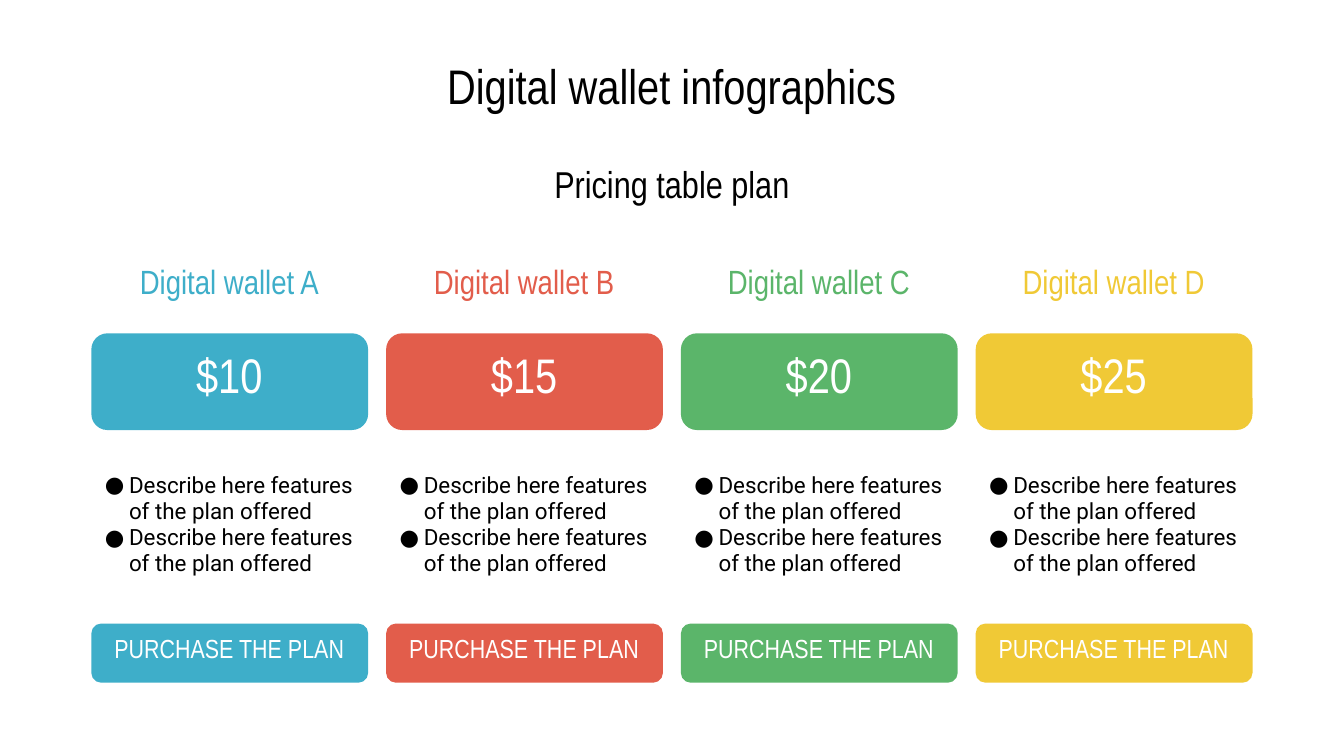
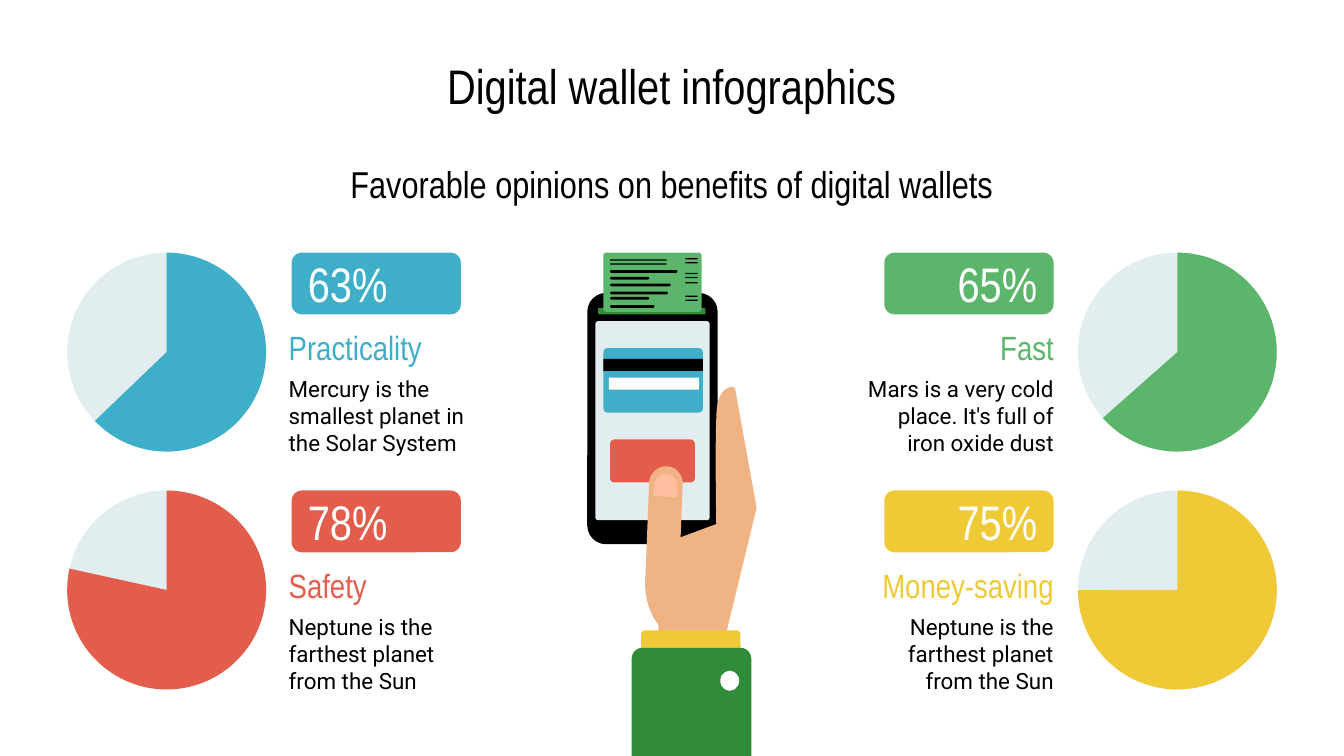
from dataclasses import dataclass
from typing import Any, NamedTuple

from lxml.etree import SubElement
from pptx import Presentation
from pptx.dml.color import RGBColor
from pptx.enum.shapes import MSO_SHAPE as Preset
from pptx.enum.text import MSO_ANCHOR as Anchor, MSO_AUTO_SIZE as AutoSize, PP_ALIGN as Align
from pptx.oxml.ns import qn
from pptx.util import Inches, Pt

COLORS = {
    "blue": "3EAEC9", "red": "E25D4B", "green": "5BB56A", "yellow": "F0C936",
    "black": "000000", "white": "FFFFFF", "pale": "E2EDF0", "forest": "318C3A",
    "skin": "F0B384", "nail": "FFBE9D",
}
DISPLAY, TEXT = "Arial Narrow", "Roboto"
CORNER = 0.167
SLIDE_WIDTH = 10
SLIDE_HEIGHT = SLIDE_WIDTH * 9 / 16
FRAME = {
    "margin_left": Inches(0.1), "margin_right": Inches(0.1),
    "margin_top": Inches(0.1), "margin_bottom": Inches(0.1),
    "vertical_anchor": Anchor.MIDDLE, "word_wrap": True, "auto_size": AutoSize.NONE,
}


class Box(NamedTuple):
    left: float
    top: float
    width: float
    height: float

    def inches(self) -> list[int]:
        return [Inches(length) for length in self]


class Style(NamedTuple):
    size: float
    font: str
    color: str
    align: Any = Align.LEFT


class Part(NamedTuple):
    box: Box
    color: str
    radius: float = 0


@dataclass
class Plan:
    name: str
    price: str
    color: str


@dataclass
class Side:
    pie_left: float
    badge_left: float
    text_left: float
    align: Any


@dataclass
class Benefit:
    name: str
    share: str
    pie_end: float  # degrees clockwise from three o'clock
    detail: str
    color: str
    side: Side
    top: float


PLANS = [
    Plan("Digital wallet A", "$10", "blue"),
    Plan("Digital wallet B", "$15", "red"),
    Plan("Digital wallet C", "$20", "green"),
    Plan("Digital wallet D", "$25", "yellow"),
]
FIRST_PLAN_LEFT, LAST_PLAN_LEFT = 0.68, 7.26
PLAN_PITCH = (LAST_PLAN_LEFT - FIRST_PLAN_LEFT) / (len(PLANS) - 1)
FEATURE = "Describe here features of the plan offered"

LEFT = Side(0.5, 2.17, 2.05, Align.LEFT)
RIGHT = Side(8.02, 6.58, 6.28, Align.RIGHT)
UPPER, LOWER = 1.88, 3.65
BENEFITS = [
    Benefit("Practicality", "63%", 136.2, "Mercury is the smallest planet in the Solar System",
            "blue", LEFT, UPPER),
    Benefit("Safety", "78%", 192.4, "Neptune is the farthest planet from the Sun",
            "red", LEFT, LOWER),
    Benefit("Fast", "65%", 138.5, "Mars is a very cold place. It's full of iron oxide dust",
            "green", RIGHT, UPPER),
    Benefit("Money-saving", "75%", 180, "Neptune is the farthest planet from the Sun",
            "yellow", RIGHT, LOWER),
]

PHONE = [
    Part(Box(4.37, 2.18, 0.97, 1.87), "black", 0.14),
    Part(Box(4.43, 2.39, 0.85, 1.48), "pale", 0.02),
    Part(Box(4.54, 3.27, 0.63, 0.32), "red", 0.03),
    Part(Box(4.49, 2.59, 0.74, 0.48), "blue", 0.03),
    Part(Box(4.49, 2.67, 0.74, 0.09), "black"),
    Part(Box(4.53, 2.81, 0.67, 0.09), "white"),
    Part(Box(4.45, 2.29, 0.8, 0.05), "forest"),
    Part(Box(4.49, 1.88, 0.73, 0.44), "green", 0.02),
]
RECEIPT_HEADING_TOPS = [1.93, 1.96]
RECEIPT_ITEMS = [(2.01, 0.5), (2.06, 0.29), (2.11, 0.45), (2.17, 0.43), (2.21, 0.29), (2.27, 0.33)]
RECEIPT_PRICE_TOPS = [1.92, 1.95, 2.03, 2.06, 2.1, 2.2, 2.23]
RECEIPT = (
    [Part(Box(4.54, top, 0.42, 0.01), "black") for top in RECEIPT_HEADING_TOPS]
    + [Part(Box(4.54, top, width, 0.02), "black", 0.01) for top, width in RECEIPT_ITEMS]
    + [Part(Box(5.1, top, 0.09, 0.01), "black") for top in RECEIPT_PRICE_TOPS]
)

# Outlines: pairs are corners, six numbers are a cubic curve.
HAND = [
    ("skin", [(5.45, 2.88), (5.42, 2.88, 5.33, 2.9, 5.33, 3.11),
              (5.32, 3.36, 5.33, 3.9, 5.33, 3.9), (4.98, 4.03), (4.8, 4.3), (4.8, 4.33),
              (4.8, 4.45, 4.83, 4.56, 4.9, 4.65), (4.9, 4.84), (5.38, 4.81), (5.63, 3.78),
              (5.47, 2.89), (5.47, 2.89, 5.46, 2.88, 5.45, 2.88)]),
    ("skin", [(4.95, 3.47), (4.89, 3.47, 4.83, 3.53, 4.83, 3.59), (4.8, 4.35), (5.05, 4.36),
              (5.08, 3.6), (5.08, 3.53, 5.03, 3.47, 4.96, 3.47)]),
    ("nail", [(4.95, 3.53), (4.91, 3.53, 4.87, 3.56, 4.87, 3.61), (4.86, 3.68), (4.87, 3.69),
              (5.03, 3.7), (5.04, 3.69), (5.04, 3.62), (5.04, 3.57, 5, 3.53, 4.96, 3.53)]),
]


def rgb(color: str) -> RGBColor:
    return RGBColor.from_string(COLORS[color])


def assign(target: Any, values: dict[str, Any]) -> None:
    for name, value in values.items():
        setattr(target, name, value)


def paint(shape: Any, color: str) -> Any:
    shape.shadow.inherit = False
    shape.fill.solid()
    shape.fill.fore_color.rgb = rgb(color)
    shape.line.fill.background()
    return shape


def add_preset(slide: Any, preset: Any, box: Box, color: str, *adjustments: float) -> Any:
    shape = paint(slide.shapes.add_shape(preset, *box.inches()), color)
    for index, value in enumerate(adjustments):
        shape.adjustments[index] = value
    return shape


def add_part(slide: Any, part: Part) -> None:
    if part.radius:
        ratio = part.radius / min(part.box.width, part.box.height)
        add_preset(slide, Preset.ROUNDED_RECTANGLE, part.box, part.color, ratio)
    else:
        add_preset(slide, Preset.RECTANGLE, part.box, part.color)


def add_outline(slide: Any, color: str, outline: list[tuple], steps: int = 10) -> None:
    points = []
    for segment in outline:
        if len(segment) == 2:
            points.append(segment)
            continue
        (x0, y0), (x1, y1, x2, y2, x3, y3) = points[-1], segment
        for step in range(1, steps + 1):
            t = step / steps
            a, b, c, d = (1 - t) ** 3, 3 * t * (1 - t) ** 2, 3 * t * t * (1 - t), t ** 3
            points.append((a * x0 + b * x1 + c * x2 + d * x3, a * y0 + b * y1 + c * y2 + d * y3))
    corners = [(Inches(x), Inches(y)) for x, y in points]
    builder = slide.shapes.build_freeform(*corners[0])
    builder.add_line_segments(corners[1:], close=True)
    paint(builder.convert_to_shape(), color)


def write(frame: Any, lines: list[str], style: Style) -> None:
    for index, line in enumerate(lines):
        paragraph = frame.add_paragraph() if index else frame.paragraphs[0]
        paragraph.alignment = style.align
        run = paragraph.add_run()
        run.text = line
        assign(run.font, {"name": style.font, "size": Pt(style.size), "bold": False})
        run.font.color.rgb = rgb(style.color)


def write_in(shape: Any, text: str, style: Style) -> None:
    assign(shape.text_frame, FRAME)
    write(shape.text_frame, [text], style)


def add_text(slide: Any, box: Box, text: str, style: Style) -> None:
    write_in(slide.shapes.add_textbox(*box.inches()), text, style)


def add_bullet(paragraph: Any) -> None:
    properties = paragraph._p.get_or_add_pPr()
    properties.set("marL", str(Inches(0.25)))
    properties.set("indent", str(Inches(-0.18)))
    SubElement(SubElement(properties, qn("a:buClr")), qn("a:srgbClr")).set("val", COLORS["black"])
    SubElement(properties, qn("a:buFont")).set("typeface", TEXT)
    SubElement(properties, qn("a:buChar")).set("char", "●")


def add_titled_slide(deck: Any, subtitle: str) -> Any:
    slide = deck.slides.add_slide(deck.slide_layouts[5])
    title = slide.shapes.title
    assign(title, dict(zip(("left", "top", "width", "height"), Box(0.45, 0.32, 9.1, 0.63).inches())))
    write_in(title, "Digital wallet infographics", Style(26, DISPLAY, "black", Align.CENTER))
    add_text(slide, Box(2.2, 1.18, 5.6, 0.37), subtitle, Style(20, DISPLAY, "black", Align.CENTER))
    return slide


def build_pricing(deck: Any) -> None:
    slide = add_titled_slide(deck, "Pricing table plan")
    for top, height in ((4.64, 0.44), (2.48, 0.72)):
        for column, plan in enumerate(PLANS):
            box = Box(FIRST_PLAN_LEFT + column * PLAN_PITCH, top, 2.06, height)
            add_preset(slide, Preset.ROUNDED_RECTANGLE, box, plan.color, CORNER)

    row_heights = [0.54, 0.84, 1.32, 0.54]
    top_margins = [0.05, 0.09, 0.07, 0.1]
    area = Box(0.61, 1.88, PLAN_PITCH * len(PLANS), sum(row_heights))
    table = slide.shapes.add_table(len(row_heights), len(PLANS), *area.inches()).table
    assign(table, {"first_row": False, "horz_banding": False})
    for row, height in zip(table.rows, row_heights):
        row.height = Inches(height)
    for column, plan in enumerate(PLANS):
        table.columns[column].width = Inches(PLAN_PITCH)
        contents = [
            ([plan.name], Style(18, DISPLAY, plan.color, Align.CENTER)),
            ([plan.price], Style(26, DISPLAY, "white", Align.CENTER)),
            ([FEATURE] * 2, Style(12, TEXT, "black")),
            (["PURCHASE THE PLAN"], Style(14, DISPLAY, "white", Align.CENTER)),
        ]
        for row, (lines, style) in enumerate(contents):
            cell = table.cell(row, column)
            cell.fill.background()
            assign(cell, {
                "margin_left": Inches(0.1), "margin_right": Inches(0.1),
                "margin_top": Inches(top_margins[row]), "margin_bottom": Inches(0.1),
                "vertical_anchor": Anchor.MIDDLE,
            })
            write(cell.text_frame, lines, style)
        for paragraph in table.cell(2, column).text_frame.paragraphs:
            add_bullet(paragraph)


def add_benefit(slide: Any, benefit: Benefit) -> None:
    side, top, color = benefit.side, benefit.top, benefit.color
    add_text(slide, Box(side.text_left, top + 0.52, 1.66, 0.37), benefit.name,
             Style(18, DISPLAY, color, side.align))
    add_text(slide, Box(side.text_left, top + 0.9, 1.66, 0.63), benefit.detail,
             Style(12, TEXT, "black", side.align))
    badge = add_preset(slide, Preset.ROUNDED_RECTANGLE, Box(side.badge_left, top, 1.26, 0.46),
                       color, CORNER)
    write_in(badge, benefit.share, Style(26, DISPLAY, "white", side.align))
    badge.text_frame.margin_bottom = Inches(0.11)
    disc = Box(side.pie_left, top, 1.48, 1.48)
    add_preset(slide, Preset.OVAL, disc, "pale")
    add_preset(slide, Preset.PIE, disc, color, 270 * 0.6, benefit.pie_end * 0.6)


def build_benefits(deck: Any) -> None:
    slide = add_titled_slide(deck, "Favorable opinions on benefits of digital wallets")
    for part in PHONE + RECEIPT:
        add_part(slide, part)
    for color, outline in HAND:
        add_outline(slide, color, outline)
    add_part(slide, Part(Box(4.77, 4.69, 0.74, 0.2), "yellow", 0.03))
    sleeve = Box(4.7, 4.82, 0.89, SLIDE_HEIGHT - 4.82)
    add_preset(slide, Preset.ROUND_2_SAME_RECTANGLE, sleeve, "forest", 0.1, 0)
    add_preset(slide, Preset.OVAL, Box(5.36, 4.99, 0.14, 0.15), "white")
    for benefit in BENEFITS:
        add_benefit(slide, benefit)


def main() -> None:
    deck = Presentation()
    assign(deck, {"slide_width": Inches(SLIDE_WIDTH), "slide_height": Inches(SLIDE_HEIGHT)})
    build_pricing(deck)
    build_benefits(deck)
    deck.save("out.pptx")


if __name__ == "__main__":
    main()
